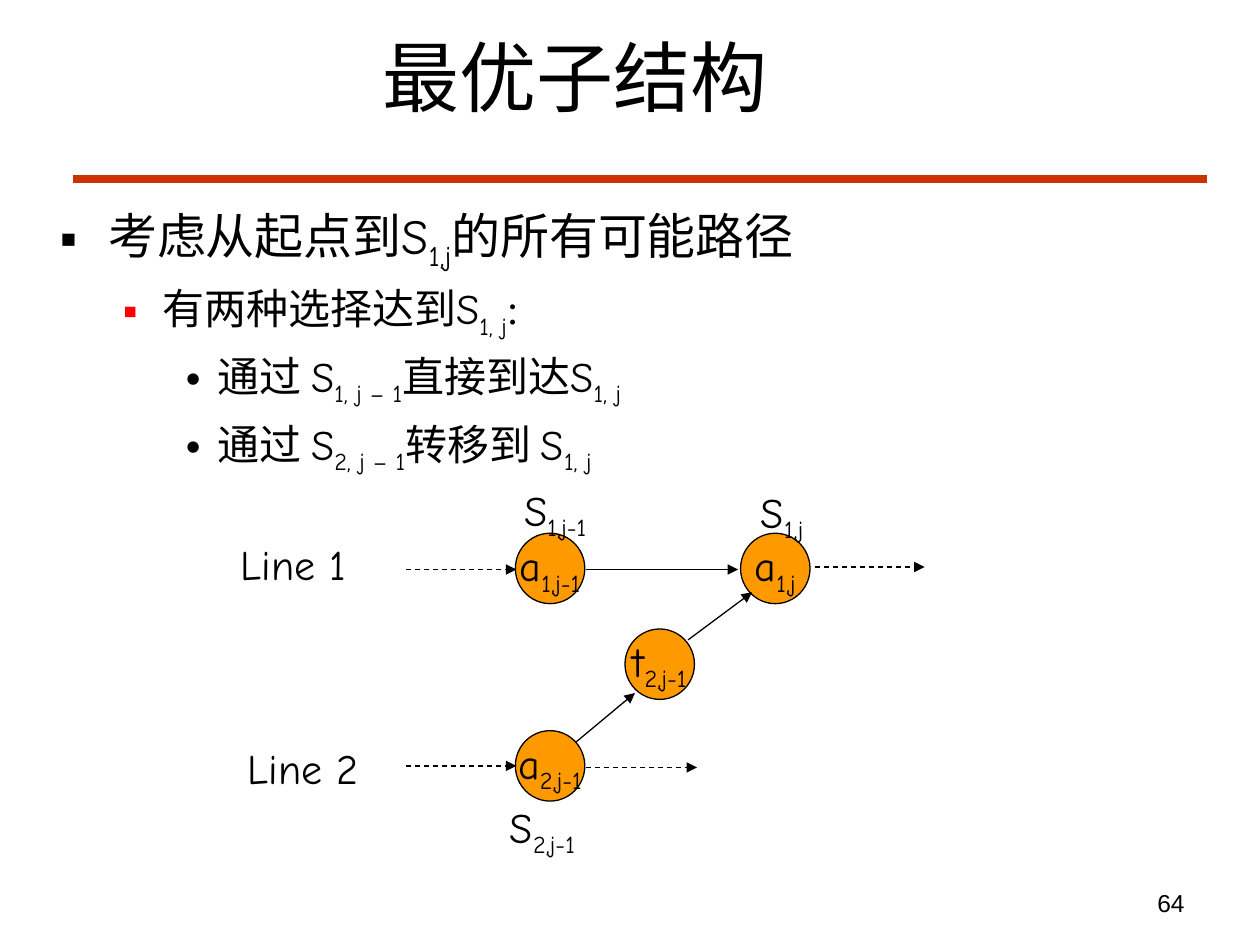
from lxml import etree
from pptx import Presentation
from pptx import util as u
from pptx.dml.color import RGBColor
from pptx.enum import dml, shapes, text
from pptx.oxml import ns

SERIF, HAND, SANS = "Times New Roman", "Comic Neue", "Arial"
BLACK, RED, ORANGE, RUST = "000000", "FF0000", "FF9900", "CC3300"
LEFT, CENTER, RIGHT = text.PP_ALIGN.LEFT, text.PP_ALIGN.CENTER, text.PP_ALIGN.RIGHT

# A "_" at the start of a piece makes it a subscript
TITLE = "最优子结构"
BULLETS = [  # level, size, bullet, bullet colour, pieces of text
    (0, 28, "▪", BLACK, ["考虑从起点到", "S", "_1,j", "的所有可能路径"]),
    (1, 24, "▪", RED, ["有两种选择达到", "S", "_1, j", ":"]),
    (2, 24, "•", BLACK, ["通过 ", "S", "_1, j – 1", "直接到达", "S", "_1, j"]),
    (2, 24, "•", BLACK, ["通过 ", "S", "_2, j – 1", "转移到 ", "S", "_1, j"]),
]
INDENTS = [(0.97, 0.97), (2.06, 0.79), (3.18, 0.64)]  # text indent, hang
SPACE_BEFORE = 6

NODE_SIZE = (1.4, 1.42)
NODES = [  # centre x, centre y, pieces
    (15.63, 11.46, ["a", "_1,j"]),
    (11.09, 11.46, ["a", "_1,j-1"]),
    (11.09, 15.44, ["a", "_2,j-1"]),
    (13.3, 13.39, ["t", "_2,j-1"]),
]
LABELS = [  # left, top, width, height, pieces
    (15.09, 9.68, 1.45, 1.42, ["S", "_1,j"]),
    (10.32, 9.64, 1.85, 1.42, ["S", "_1,j-1"]),
    (10.03, 16.03, 1.9, 1.42, ["S", "_2,j-1"]),
    (4.6, 10.73, 2.75, 1.27, ["Line 1"]),
    (4.75, 14.84, 2.85, 1.27, ["Line 2"]),
]
SOLID_ARROWS = [
    (11.81, 11.48, 14.88, 11.48),
    (11.61, 14.96, 12.8, 13.97),
    (13.87, 12.9, 15.16, 11.94),
]
DASHED_ARROWS = [
    (8.18, 11.48, 10.41, 11.48),
    (8.18, 15.44, 10.41, 15.44),
    (16.43, 11.43, 18.64, 11.43),
    (11.81, 15.47, 14.05, 15.47),
]


def cm(values):
    return [u.Cm(value) for value in values]


def color(value):
    return RGBColor.from_string(value)


def add_element(parent, tag, **attributes):
    return etree.SubElement(parent, ns.qn(tag), attributes)


def write(para, pieces, size=24, font=HAND, align=LEFT):
    """Fill a paragraph; pieces starting with "_" become subscripts."""
    para.alignment = align
    for piece in pieces:
        span = para.add_run()
        span.text = piece.removeprefix("_")
        span.font.size = u.Pt(size)
        span.font.name = font
        span.font.color.rgb = color(BLACK)
        if piece.startswith("_"):
            span.font._element.set("baseline", "-25000")


def add_text(place, pieces, wrap=True, anchor=text.MSO_ANCHOR.TOP, **style):
    """Add a text box; one that does not wrap grows with its text."""
    box = slide.shapes.add_textbox(*cm(place))
    box.text_frame.word_wrap = wrap
    box.text_frame.vertical_anchor = anchor
    if not wrap:
        box.text_frame.auto_size = text.MSO_AUTO_SIZE.SHAPE_TO_FIT_TEXT
    write(box.text_frame.paragraphs[0], pieces, **style)
    return box


def add_bullet(para, level, size, mark, mark_color, pieces):
    indent, hang = INDENTS[level]
    props = para._p.get_or_add_pPr()
    props.set("marL", str(u.Cm(indent)))
    props.set("indent", str(-u.Cm(hang)))
    para.level = level
    holder = add_element(props, "a:buClr")
    add_element(holder, "a:srgbClr", val=mark_color)
    add_element(props, "a:buFont", typeface=SANS)
    add_element(props, "a:buChar", char=mark)
    for piece in pieces:
        latin = piece[0] in "S_"
        write(para, [piece], size=size, font=HAND if latin else SERIF)


def add_node(x, y, pieces):
    width, height = NODE_SIZE
    place = (x - width / 2, y - height / 2, width, height)
    node = slide.shapes.add_shape(shapes.MSO_SHAPE.OVAL, *cm(place))
    node.shadow.inherit = False
    node.fill.solid()
    node.fill.fore_color.rgb = color(ORANGE)
    node.line.color.rgb = color(BLACK)
    node.line.width = u.Pt(0.75)
    node.text_frame.word_wrap = False
    node.text_frame.vertical_anchor = text.MSO_ANCHOR.MIDDLE
    write(node.text_frame.paragraphs[0], pieces, align=CENTER)


def add_line(ends, line_color=BLACK, width=0.75, dashed=False, arrow=True):
    line = slide.shapes.add_connector(shapes.MSO_CONNECTOR.STRAIGHT, *cm(ends))
    line.line.color.rgb = color(line_color)
    line.line.width = u.Pt(width)
    if dashed:
        line.line.dash_style = dml.MSO_LINE.DASH
    if arrow:
        add_element(line.line._get_or_add_ln(), "a:tailEnd", type="triangle")
    add_element(line._element.spPr, "a:effectLst")


deck = Presentation()
deck.slide_width, deck.slide_height = cm((25.4, 19.05))
slide = deck.slides.add_slide(deck.slide_layouts[6])

add_line((1.48, 3.6, 24.34, 3.6), line_color=RUST, width=4.5, arrow=False)
add_text((18.21, 17.78, 5.92, 0.89), ["64"], size=14, font=SANS, align=RIGHT)
add_text((1.77, 0.48, 19.66, 2.08), [TITLE], size=44, font=SERIF,
         align=CENTER, anchor=text.MSO_ANCHOR.MIDDLE)

body = add_text((0.96, 4.01, 23.01, 14.1), []).text_frame
for number, bullet in enumerate(BULLETS):
    para = body.add_paragraph() if number else body.paragraphs[0]
    if number:
        para.space_before = u.Pt(SPACE_BEFORE)
    add_bullet(para, *bullet)

for node in NODES:
    add_node(*node)
for *place, pieces in LABELS:
    add_text(place, pieces, wrap=False)
for ends in SOLID_ARROWS:
    add_line(ends)
for ends in DASHED_ARROWS:
    add_line(ends, dashed=True)

deck.save("out.pptx")
